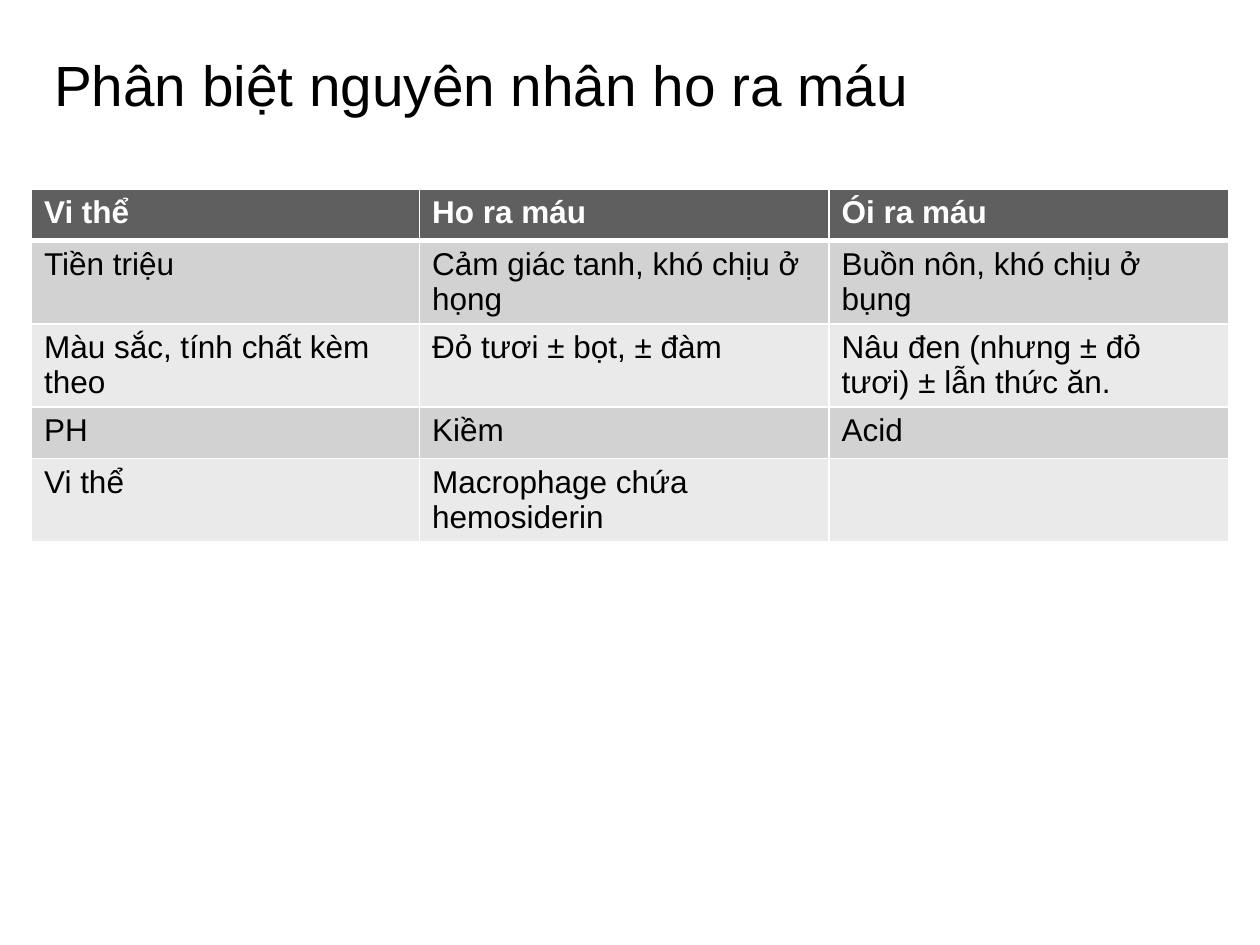
from lxml import etree
from pptx import Presentation
from pptx import util as u
from pptx.dml.color import RGBColor
from pptx.enum import text
from pptx.oxml import ns

TITLE = "Phân biệt nguyên nhân ho ra máu"
COLUMN_WIDTHS = [3.08, 3.25, 3.17]
ROW_HEIGHT = 0.41
ROWS = [
    ["Vi thể", "Ho ra máu", "Ói ra máu"],
    ["Tiền triệu", "Cảm giác tanh, khó chịu ở họng", "Buồn nôn, khó chịu ở bụng"],
    ["Màu sắc, tính chất kèm theo", "Đỏ tươi ± bọt, ± đàm",
     "Nâu đen (nhưng ± đỏ tươi) ± lẫn thức ăn."],
    ["PH", "Kiềm", "Acid"],
    ["Vi thể", "Macrophage chứa hemosiderin", ""],
]


def color(value):
    return RGBColor.from_string(value)


class SlideBuilder:
    font_name = "Arial"
    black = "000000"
    white = "FFFFFF"
    header_fill = "5F5F5F"
    band_fills = ["D2D2D2", "EAEAEA"]

    def __init__(self, slide):
        self.slide = slide
        slide.background.fill.solid()
        slide.background.fill.fore_color.rgb = color(self.white)

    def style(self, paragraph, size, font_color, bold=False):
        paragraph.alignment = text.PP_ALIGN.LEFT
        font = paragraph.font
        font.name = self.font_name
        font.size = u.Pt(size)
        font.bold = bold
        font.color.rgb = color(font_color)

    def title(self, wording, left, top, width, height):
        shape = self.slide.shapes.title
        shape.left, shape.top = u.Inches(left), u.Inches(top)
        shape.width, shape.height = u.Inches(width), u.Inches(height)
        frame = shape.text_frame
        frame.text = wording
        frame.word_wrap = True
        frame.auto_size = text.MSO_AUTO_SIZE.NONE
        frame.vertical_anchor = text.MSO_ANCHOR.MIDDLE
        self.style(frame.paragraphs[0], 32.4, self.black)

    def borders(self, cell, top, bottom):
        properties = cell._tc.get_or_add_tcPr()
        widths = {"a:lnL": 1, "a:lnR": 1, "a:lnT": top, "a:lnB": bottom}
        for position, (tag, width) in enumerate(widths.items()):
            line = etree.Element(ns.qn(tag), w=str(u.Pt(width)))
            fill = etree.SubElement(line, ns.qn("a:solidFill"))
            etree.SubElement(fill, ns.qn("a:srgbClr"), val=self.white)
            properties.insert(position, line)

    def table(self, rows, left, top, column_widths, row_height):
        table = self.slide.shapes.add_table(
            len(rows), len(column_widths), u.Inches(left), u.Inches(top),
            u.Inches(sum(column_widths)), u.Inches(row_height * len(rows))).table
        for column, width in zip(table.columns, column_widths):
            column.width = u.Inches(width)
        for row_index, values in enumerate(rows):
            table.rows[row_index].height = u.Inches(row_height)
            header = row_index == 0
            fill = self.header_fill if header else self.band_fills[(row_index - 1) % 2]
            for column_index, value in enumerate(values):
                cell = table.cell(row_index, column_index)
                cell.text = value
                cell.fill.solid()
                cell.fill.fore_color.rgb = color(fill)
                self.borders(cell, 3 if row_index == 1 else 1, 3 if header else 1)
                self.style(cell.text_frame.paragraphs[0], 18,
                           self.white if header else self.black, header)


def main():
    presentation = Presentation()
    presentation.slide_width = u.Inches(10)
    presentation.slide_height = u.Inches(7.5)
    builder = SlideBuilder(presentation.slides.add_slide(presentation.slide_layouts[5]))
    builder.table(ROWS, 0.25, 1.5, COLUMN_WIDTHS, ROW_HEIGHT)
    builder.title(TITLE, 0.33, 0.25, 9.17, 0.83)
    presentation.save("out.pptx")


if __name__ == "__main__":
    main()
